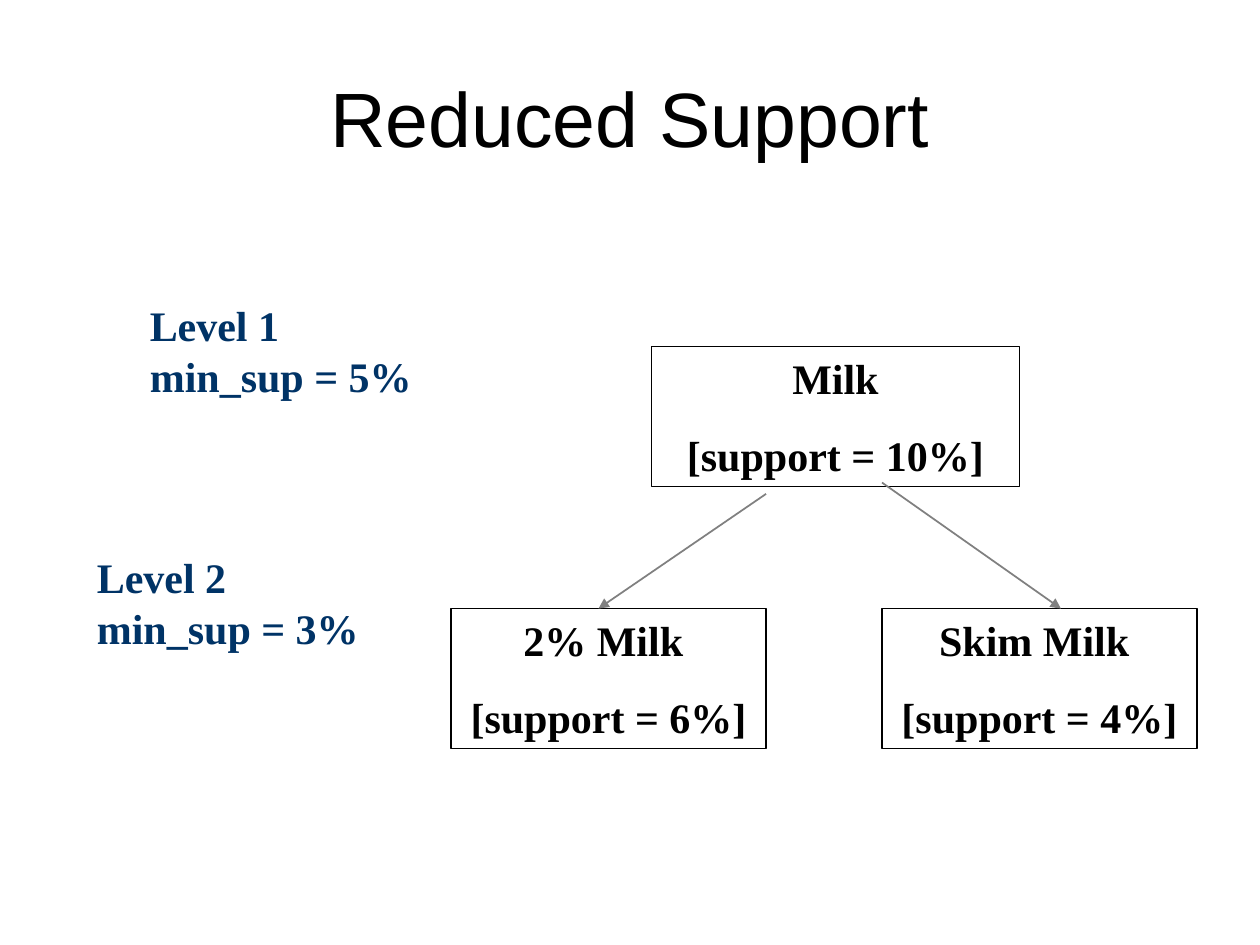
from dataclasses import dataclass

import pptx
import pptx.dml.color
import pptx.enum.shapes
import pptx.enum.text
import pptx.oxml
import pptx.oxml.ns
import pptx.shapes.base
import pptx.slide
import pptx.util
from pptx.util import Inches

Alignment = pptx.enum.text.PP_ALIGN
Anchor = pptx.enum.text.MSO_ANCHOR
AutoSize = pptx.enum.text.MSO_AUTO_SIZE
Color = pptx.dml.color.RGBColor


@dataclass(frozen=True)
class Theme:
    black: Color = Color.from_string("000000")
    white: Color = Color.from_string("FFFFFF")
    navy: Color = Color.from_string("003366")
    gray: Color = Color.from_string("808080")
    title_font: str = "Arial"
    body_font: str = "Times New Roman"
    title_size: float = 44
    body_size: float = 24
    line_gap: float = 15
    border_width: float = 0.75
    arrow_width: float = 1


@dataclass(frozen=True)
class ItemNode:
    left: float
    top: float
    width: float
    name: str
    support: str


@dataclass(frozen=True)
class LevelLabel:
    left: float
    top: float
    level: str
    threshold: str


@dataclass(frozen=True)
class Arrow:
    start: tuple[float, float]
    end: tuple[float, float]


THEME = Theme()
NODE_HEIGHT = 1.11
CHILD_TOP = 4.83
NODES = [
    ItemNode(5.17, 2.75, 2.92, "Milk", "[support = 10%]"),
    ItemNode(3.58, CHILD_TOP, 2.5, "2% Milk ", "[support = 6%]"),
    ItemNode(7, CHILD_TOP, 2.5, "Skim Milk ", "[support = 4%]"),
]
ARROWS = [
    Arrow((6.08, 3.92), (4.75, CHILD_TOP)),
    Arrow((7, 3.83), (8.42, CHILD_TOP)),
]
LABELS = [
    LevelLabel(1.09, 2.33, "Level 1", "min_sup = 5%"),
    LevelLabel(0.67, 4.33, "Level 2", "min_sup = 3%"),
]


def write_lines(shape: pptx.shapes.base.BaseShape, lines: list[str], color: Color,
                alignment: Alignment, font: str = THEME.body_font,
                size: float = THEME.body_size, bold: bool = True, gap: float = 0) -> None:
    frame = shape.text_frame
    for index, line in enumerate(lines):
        paragraph = frame.add_paragraph() if index else frame.paragraphs[0]
        paragraph.alignment = alignment
        paragraph.space_before = pptx.util.Pt(gap if index else 0)
        run = paragraph.add_run()
        run.text = line
        run.font.name = font
        run.font.size = pptx.util.Pt(size)
        run.font.bold = bold
        run.font.color.rgb = color


def add_title(slide: pptx.slide.Slide, title: str) -> None:
    shape = slide.shapes.add_textbox(Inches(0.5), Inches(0.3), Inches(9), Inches(1.25))
    shape.text_frame.word_wrap = True
    shape.text_frame.vertical_anchor = Anchor.MIDDLE
    write_lines(shape, [title], THEME.black, Alignment.CENTER,
                THEME.title_font, THEME.title_size, bold=False)


def add_node(slide: pptx.slide.Slide, node: ItemNode) -> None:
    shape = slide.shapes.add_shape(
        pptx.enum.shapes.MSO_SHAPE.RECTANGLE, Inches(node.left), Inches(node.top),
        Inches(node.width), Inches(NODE_HEIGHT))
    shape.shadow.inherit = False
    shape.fill.solid()
    shape.fill.fore_color.rgb = THEME.white
    shape.line.color.rgb = THEME.black
    shape.line.width = pptx.util.Pt(THEME.border_width)
    shape.text_frame.word_wrap = True
    shape.text_frame.vertical_anchor = Anchor.TOP
    shape.text_frame.auto_size = AutoSize.SHAPE_TO_FIT_TEXT
    write_lines(shape, [node.name, node.support], THEME.black, Alignment.CENTER,
                gap=THEME.line_gap)


def add_arrow(slide: pptx.slide.Slide, arrow: Arrow) -> None:
    connector = slide.shapes.add_connector(
        pptx.enum.shapes.MSO_CONNECTOR.STRAIGHT,
        *(Inches(value) for value in arrow.start + arrow.end))
    connector.line.color.rgb = THEME.gray
    connector.line.width = pptx.util.Pt(THEME.arrow_width)
    namespace = pptx.oxml.ns.nsdecls("a")
    line = connector.line._get_or_add_ln()
    line.append(pptx.oxml.parse_xml(f'<a:tailEnd {namespace} type="triangle"/>'))
    line.getparent().append(pptx.oxml.parse_xml(f"<a:effectLst {namespace}/>"))


def add_label(slide: pptx.slide.Slide, label: LevelLabel) -> None:
    shape = slide.shapes.add_textbox(
        Inches(label.left), Inches(label.top), Inches(2.28), Inches(0.9))
    shape.text_frame.word_wrap = False
    shape.text_frame.auto_size = AutoSize.SHAPE_TO_FIT_TEXT
    write_lines(shape, [label.level, label.threshold], THEME.navy, Alignment.LEFT)


def main() -> None:
    presentation = pptx.Presentation()
    presentation.slide_width = Inches(10)
    presentation.slide_height = Inches(7.5)
    slide = presentation.slides.add_slide(presentation.slide_layouts[6])

    # Title
    add_title(slide, "Reduced Support")

    # Item hierarchy
    for node in NODES:
        add_node(slide, node)
    for arrow in ARROWS:
        add_arrow(slide, arrow)

    # Thresholds per level
    for label in LABELS:
        add_label(slide, label)

    presentation.save("out.pptx")


if __name__ == "__main__":
    main()
